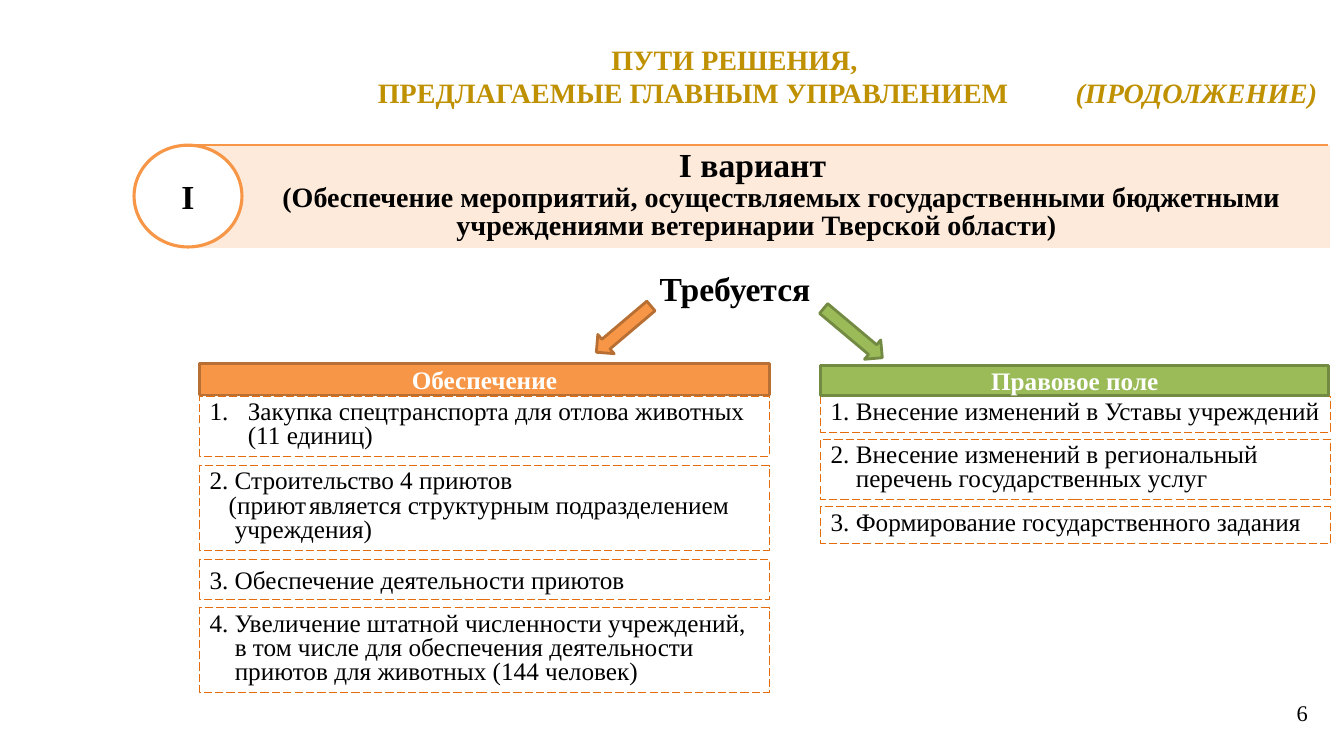
from lxml.etree import SubElement
from pptx import Presentation
from pptx.dml.color import RGBColor
from pptx.enum.dml import MSO_LINE
from pptx.enum.shapes import MSO_CONNECTOR, MSO_SHAPE
from pptx.enum.text import MSO_ANCHOR, MSO_AUTO_SIZE, PP_ALIGN
from pptx.oxml.ns import qn
from pptx.util import Inches, Pt

FONT = "Times New Roman"
COLORS = {
    "gold": "BF9000", "black": "000000", "white": "FFFFFF", "peach": "FDEADA",
    "orange": "F79646", "orange_edge": "B76F34", "dash": "E46C0A",
    "green": "9BBB59", "green_edge": "738A42",
}


def color(name):
    return RGBColor.from_string(COLORS[name])


def add_block(slide, kind, box, fill=None, line=None, width=0.75):
    block = slide.shapes.add_shape(kind, *map(Inches, box))
    block.shadow.inherit = False
    if fill:
        block.fill.solid()
        block.fill.fore_color.rgb = color(fill)
    else:
        block.fill.background()
    if line:
        block.line.color.rgb = color(line)
        block.line.width = Pt(width)
    else:
        block.line.fill.background()
    return block


def add_text_area(slide, box):
    return slide.shapes.add_textbox(*map(Inches, box))


def prepare(shape, grow=True, anchor=MSO_ANCHOR.TOP):
    frame = shape.text_frame
    frame.word_wrap = True
    frame.vertical_anchor = anchor
    if grow:
        frame.auto_size = MSO_AUTO_SIZE.SHAPE_TO_FIT_TEXT
    return frame


def write(paragraph, pieces, tint="black", bold=False, align=PP_ALIGN.LEFT, spacing=None):
    """Fill a paragraph with (text, size) pieces."""
    paragraph.alignment = align
    if spacing:
        paragraph.line_spacing = spacing
    for text, size in pieces:
        run = paragraph.add_run()
        run.text = text
        run.font.name = FONT
        run.font.size = Pt(size)
        run.font.bold = bold
        run.font.color.rgb = color(tint)


def indent(paragraph, left, first=0):
    props = paragraph._p.get_or_add_pPr()
    props.set("marL", str(Inches(left)))
    props.set("indent", str(Inches(first)))
    return props


def label(shape, text, size, tint="black"):
    frame = prepare(shape, grow=False, anchor=MSO_ANCHOR.MIDDLE)
    write(frame.paragraphs[0], [(text, size)], tint, True, PP_ALIGN.CENTER)


def add_title(slide, box):
    frame = prepare(add_text_area(slide, box))
    write(frame.paragraphs[0], [("ПУТИ РЕШЕНИЯ,", 20)], "gold", True, PP_ALIGN.CENTER)
    second = frame.add_paragraph()
    tabs = SubElement(second._p.get_or_add_pPr(), qn("a:tabLst"))
    for position in (2.27, 9.19):
        SubElement(tabs, qn("a:tab"), pos=str(Inches(position)), algn="l")
    write(second, [("\tПРЕДЛАГАЕМЫЕ ГЛАВНЫМ УПРАВЛЕНИЕМ\t", 20), ("(ПРОДОЛЖЕНИЕ)", 20)],
          "gold", True)
    second.runs[-1].font.italic = True


def add_variant_band(slide, box):
    left, top, width, height = box
    band = add_block(slide, MSO_SHAPE.RECTANGLE, box, "peach")
    frame = prepare(band)
    heading, detail = frame.paragraphs[0], frame.add_paragraph()
    write(heading, [("I вариант ", 24)], bold=True, align=PP_ALIGN.CENTER, spacing=0.85)
    indent(detail, 0, 0.49)
    write(detail, [("(Обеспечение мероприятий, осуществляемых государственными бюджетными "
                    "учреждениями ветеринарии Тверской области)", 20)],
          bold=True, align=PP_ALIGN.CENTER, spacing=0.85)

    # Numeral badge and top rule
    badge = add_block(slide, MSO_SHAPE.OVAL, (left - 0.49, top, 1.07, 1.01),
                      "white", "orange", 2.25)
    label(badge, "I", 24)
    rule = slide.shapes.add_connector(
        MSO_CONNECTOR.STRAIGHT, Inches(left + 0.04), Inches(top),
        Inches(left + width - 0.02), Inches(top))
    rule.line.color.rgb = color("orange")
    rule.line.width = Pt(1.5)
    SubElement(rule._element.spPr, qn("a:effectLst"))


def add_requirement(slide, box):
    frame = prepare(add_text_area(slide, box))
    write(frame.paragraphs[0], [("Требуется", 24)], bold=True,
          align=PP_ALIGN.CENTER, spacing=0.8)


def add_arrow(slide, box, angle, tint):
    arrow = add_block(slide, MSO_SHAPE.RIGHT_ARROW, box, tint, f"{tint}_edge", 2)
    arrow.rotation = angle


def add_item(slide, box, lines, spacing, numbered):
    item = add_block(slide, MSO_SHAPE.RECTANGLE, box, line="dash")
    item.line.dash_style = MSO_LINE.LONG_DASH
    frame = prepare(item)
    for index, (left, pieces) in enumerate(lines):
        paragraph = frame.add_paragraph() if index else frame.paragraphs[0]
        props = indent(paragraph, left, -left if numbered else 0)
        if numbered:
            SubElement(props, qn("a:buFont"), typeface="+mj-lt")
            SubElement(props, qn("a:buAutoNum"), type="arabicPeriod")
        write(paragraph, pieces, spacing=spacing)


def add_column(slide, box, heading, tint, item_width, items):
    """Place dashed items, given by top and height, under a coloured heading."""
    for top, height, spacing, numbered, lines in items:
        add_item(slide, (box[0], top, item_width, height), lines, spacing, numbered)
    header = add_block(slide, MSO_SHAPE.RECTANGLE, box, tint, f"{tint}_edge", 2)
    label(header, heading, 18, "white")


def add_page_number(slide, box):
    frame = prepare(add_text_area(slide, box), grow=False, anchor=MSO_ANCHOR.MIDDLE)
    write(frame.paragraphs[0], [("6", 16)], align=PP_ALIGN.RIGHT)


def line(text, left=0.0):
    return left, [(text, 18)]


SUPPLY = [
    (3.93, 0.6, 0.8, True,
     [line("Закупка спецтранспорта для отлова животных (11 единиц)", 0.38)]),
    (4.62, 0.84, 0.8, False, [
        line("2. Строительство 4 приютов"),
        (0.19, [("(приют", 18), (" ", 8), ("является", 18), (" ", 18),
                ("структурным подразделением", 18)]),
        line("учреждения)", 0.25)]),
    (5.55, 0.4, None, False, [line("3. Обеспечение деятельности приютов")]),
    (6.03, 0.84, 0.8, False, [
        line("4. Увеличение штатной численности учреждений,"),
        line("в том числе для обеспечения деятельности", 0.25),
        line("приютов для животных (144 человек)", 0.25)]),
]
LEGAL = [
    (3.93, 0.36, 0.8, False, [line("1. Внесение изменений в Уставы учреждений")]),
    (4.36, 0.6, 0.8, False, [
        line("2. Внесение изменений в региональный"),
        line("перечень государственных услуг", 0.25)]),
    (5.03, 0.36, 0.8, False, [line("3. Формирование государственного задания")]),
]


def main():
    deck = Presentation()
    deck.slide_width, deck.slide_height = Inches(13.33), Inches(7.5)
    slide = deck.slides.add_slide(deck.slide_layouts[6])

    add_title(slide, (1.38, 0.37, 11.81, 0.77))
    add_variant_band(slide, (1.82, 1.44, 11.37, 1.02))
    add_requirement(slide, (5, 2.69, 4.58, 0.42))
    add_arrow(slide, (5.83, 3.14, 0.71, 0.25), 139.7, "orange")
    add_arrow(slide, (8.08, 3.18, 0.76, 0.25), 40, "green")
    add_column(slide, (1.98, 3.61, 5.65, 0.31), "Обеспечение", "orange", 5.65, SUPPLY)
    add_column(slide, (8.14, 3.63, 5.04, 0.29), "Правовое поле", "green", 5.06, LEGAL)
    add_page_number(slide, (9.96, 6.81, 3.11, 0.52))
    deck.save("out.pptx")


if __name__ == "__main__":
    main()
